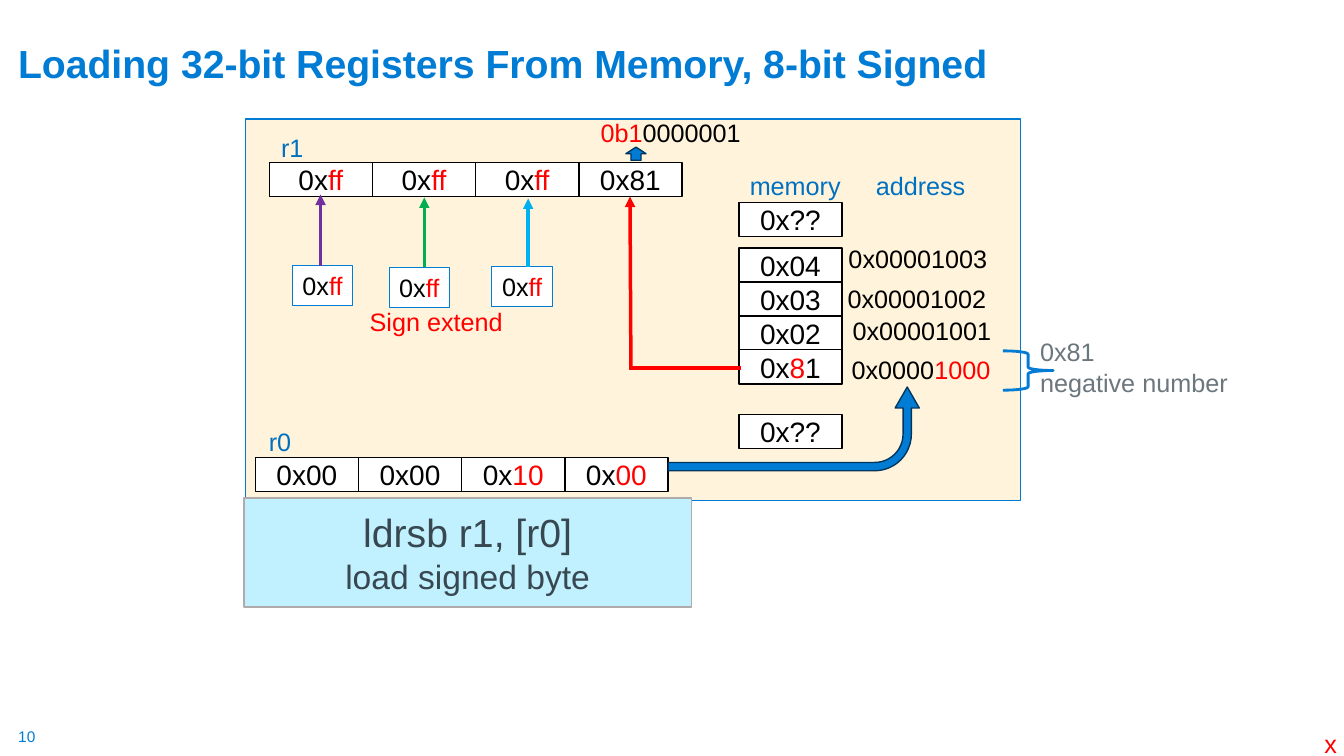
from dataclasses import dataclass

from lxml import etree
from pptx import Presentation
from pptx.dml.color import RGBColor
from pptx.enum import shapes, text
from pptx.oxml import ns
from pptx.util import Pt

Kind = shapes.MSO_SHAPE
Align = text.PP_ALIGN
Anchor = text.MSO_ANCHOR


@dataclass(frozen=True)
class Theme:
    font: str = "Arial"
    blue: str = "007CD5"
    label: str = "0070C0"
    navy: str = "00365D"
    red: str = "FF0000"
    black: str = "000000"
    white: str = "FFFFFF"
    cream: str = "FFF4DB"
    ice: str = "C1F0FF"
    gray: str = "AFABAB"
    slate: str = "384851"
    mist: str = "6B767D"
    purple: str = "7030A0"
    green: str = "00B050"
    sky: str = "00B0F0"
    head: int = 28
    sub: int = 24
    cell: int = 20
    body: int = 18
    foot: int = 11


T = Theme()


@dataclass(frozen=True)
class Box:
    x: float
    y: float
    w: float
    h: float
    fill: str | None = T.white
    line: str = T.black
    width: float = 1
    kind: Kind = Kind.RECTANGLE


@dataclass(frozen=True)
class Label:
    x: float
    y: float
    w: float
    words: str
    color: str = T.black
    h: float = 29


@dataclass(frozen=True)
class Wire:
    x1: float
    y1: float
    x2: float
    y2: float
    color: str
    arrow: bool = True


def write(par, words: str, size: float, color: str, bold: bool = False) -> None:
    par.clear()
    for i, part in enumerate(words.split("|")):
        if not part:
            continue
        run = par.add_run()
        run.text = part
        run.font.name = T.font
        run.font.size = Pt(size)
        run.font.bold = bold
        run.font.color.rgb = RGBColor.from_string(T.red if i % 2 else color)


def draw_box(slide, box: Box):
    shape = slide.shapes.add_shape(box.kind, Pt(box.x), Pt(box.y), Pt(box.w), Pt(box.h))
    shape.shadow.inherit = False
    if box.fill:
        shape.fill.solid()
        shape.fill.fore_color.rgb = RGBColor.from_string(box.fill)
    else:
        shape.fill.background()
    shape.line.color.rgb = RGBColor.from_string(box.line)
    shape.line.width = Pt(box.width)
    return shape


def draw_cell(slide, box: Box, words: str, size: float = T.cell, wrap: bool = True) -> None:
    frame = draw_box(slide, box).text_frame
    frame.word_wrap = wrap
    frame.vertical_anchor = Anchor.MIDDLE
    frame.paragraphs[0].alignment = Align.CENTER
    write(frame.paragraphs[0], words, size, T.black)


def draw_label(slide, item: Label, size: float = T.body, bold: bool = False):
    area = slide.shapes.add_textbox(Pt(item.x), Pt(item.y), Pt(item.w), Pt(item.h))
    frame = area.text_frame
    frame.word_wrap = False
    frame.text = item.words
    for par in frame.paragraphs:
        write(par, par.text, size, item.color, bold)
    return frame


def draw_wire(slide, wire: Wire) -> None:
    line = slide.shapes.add_connector(
        shapes.MSO_CONNECTOR.STRAIGHT, Pt(wire.x1), Pt(wire.y1), Pt(wire.x2), Pt(wire.y2))
    line.line.color.rgb = RGBColor.from_string(wire.color)
    line.line.width = Pt(2.5)
    props = line._element.spPr
    if wire.arrow:
        etree.SubElement(props.find(ns.qn("a:ln")), ns.qn("a:tailEnd"), type="triangle")
    etree.SubElement(props, ns.qn("a:effectLst"))


CELL_W, CELL_H, STEP, ROW = 73.6, 24.4, 73.7, 24.25
MEM_X = 527.8
BANKS = [
    (192.4, 115.9, ["0x|ff", "0x|ff", "0x|ff", "0x81"]),
    (182.4, 326.9, ["0x00", "0x00", "0x|10", "0x|00"]),
]
STACKS = [
    (144.7, ["0x??"]),
    (177.1, ["0x04", "0x03", "0x02", "0x|8|1"]),
    (295.9, ["0x??"]),
]
LABELS = [
    Label(528.5, 118.1, 83, "memory", T.label),
    Label(618.5, 118.1, 83, "address", T.label),
    Label(193.7, 90.7, 31, "r1", T.label),
    Label(185, 301, 31, "r0", T.label),
    Label(599, 170.6, 114.5, "0x00001003"),
    Label(598.3, 198.7, 114.5, "0x00001002"),
    Label(601.9, 221.8, 114.5, "0x00001001"),
    Label(601.2, 249.8, 114.5, "0x0000|1000"),
    Label(735.8, 236.9, 149.8, "0x81\nnegative number", T.mist, 51),
    Label(257, 215.3, 110.2, "Sign extend", T.red),
    Label(421.9, 80.6, 115.2, "|0b1|0000001"),
    Label(938.9, 517, 23.8, "x", T.red),
]
WIRES = [
    Wire(450.7, 264.2, 450, 140.4, T.red),
    Wire(529.2, 262.8, 450, 262.8, T.red, False),
    Wire(377.3, 190.8, 377.3, 141.8, T.sky),
    Wire(303.1, 190.8, 303.1, 141.1, T.green),
    Wire(229, 190.1, 229, 139, T.purple),
]
SIGNS = [(208.8, 189.4), (277.9, 190.8), (351.4, 190.1)]


def draw_code(slide) -> None:
    shape = draw_box(slide, Box(174.2, 355.7, 319.7, 77.8, T.ice, T.gray))
    frame = shape.text_frame
    frame.text = "ldrsb r1, [r0]\nload signed byte"
    for par, size in zip(frame.paragraphs, (T.head, T.sub)):
        par.alignment = Align.CENTER
        write(par, par.text, size, T.slate)


def draw_bend(slide) -> None:
    bend = draw_box(slide, Box(537.1, 216.7, 59.8, 179.3, T.blue, T.navy, 1, Kind.BENT_ARROW))
    for i, value in enumerate((0.099, 0.144, 0.25, 0.438)):
        bend.adjustments[i] = value
    bend.rotation = 90
    bend._element.spPr.xfrm.set("flipH", "1")


def main() -> None:
    deck = Presentation()
    deck.slide_width, deck.slide_height = Pt(960), Pt(540)
    slide = deck.slides.add_slide(deck.slide_layouts[6])

    title = Label(5.8, 9.4, 947.5, "Loading 32-bit Registers From Memory, 8-bit Signed", T.blue, 56.2)
    frame = draw_label(slide, title, T.head, True)
    frame.word_wrap = True
    frame.vertical_anchor = Anchor.BOTTOM
    frame.paragraphs[0].line_spacing = 0.9
    page = draw_label(slide, Label(13, 519.1, 13.7, "10", T.blue, 13.7), T.foot)
    page.margin_left = page.margin_right = page.margin_top = page.margin_bottom = 0

    draw_box(slide, Box(175.7, 85, 553, 272.2, T.cream, T.blue, 0.75))
    draw_code(slide)
    for x, y, bytes_ in BANKS:
        for i, words in enumerate(bytes_):
            draw_cell(slide, Box(x + i * STEP, y, CELL_W, CELL_H), words)
    for y, bytes_ in STACKS:
        for i, words in enumerate(bytes_):
            draw_cell(slide, Box(MEM_X, y + i * ROW, CELL_W, CELL_H), words)
    draw_bend(slide)
    draw_box(slide, Box(716.4, 250.6, 36, 28.1, None, T.blue, 2, Kind.RIGHT_BRACE))
    draw_box(slide, Box(447.1, 105.1, 14.4, 9.4, T.blue, T.navy, 1, Kind.UP_ARROW))
    for x, y in SIGNS:
        draw_cell(slide, Box(x, y, 43.2, 28.8, T.white, T.blue, 0.75), "0x|ff", T.body, False)
    for item in LABELS:
        draw_label(slide, item)
    for wire in WIRES:
        draw_wire(slide, wire)
    deck.save("out.pptx")


if __name__ == "__main__":
    main()
